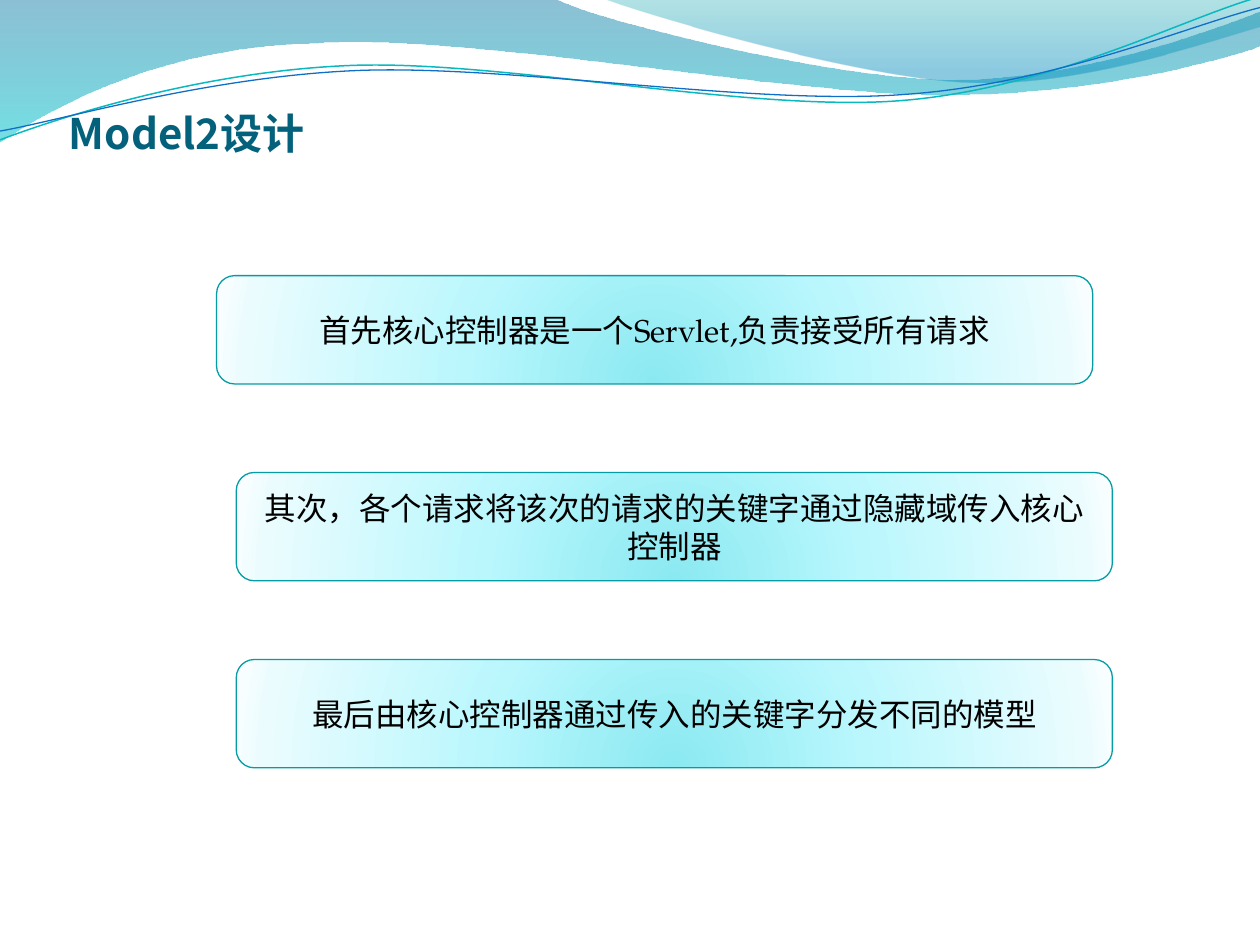
from math import cos, radians, sin

from lxml import etree
from pptx import Presentation
from pptx.dml.color import RGBColor
from pptx.enum.shapes import MSO_SHAPE
from pptx.enum.text import MSO_ANCHOR, MSO_AUTO_SIZE, PP_ALIGN
from pptx.oxml import parse_xml
from pptx.oxml.ns import qn
from pptx.util import Inches, Pt

ROUNDED = MSO_SHAPE.ROUNDED_RECTANGLE
LEFT, CENTER = PP_ALIGN.LEFT, PP_ALIGN.CENTER
MIDDLE, BOTTOM = MSO_ANCHOR.MIDDLE, MSO_ANCHOR.BOTTOM
SLIDE_WIDTH, SLIDE_HEIGHT = Inches(10), Inches(7.5)

TITLE_COLOR = RGBColor(0x04, 0x61, 0x7B)
BLACK = RGBColor(0, 0, 0)
BOX_LINE = RGBColor(0x06, 0x9C, 0xA3)
TEAL_LINE = RGBColor(0x0A, 0xB8, 0xBF)
BLUE_LINE = RGBColor(0x0F, 0x6F, 0xC6)

# Gradient stops: position in percent, colour, opacity in percent
LEFT_WAVE_STOPS = [(0, RGBColor(0x00, 0x74, 0xA1), 45), (100, RGBColor(0x00, 0xC6, 0xCF), 55)]
RIGHT_WAVE_STOPS = [(0, RGBColor(0x00, 0xA1, 0xA9), 30), (80, RGBColor(0x00, 0x8B, 0xBF), 45)]
BOX_STOPS = [
    (0, RGBColor(0x8B, 0xE9, 0xF1), 100),
    (43, RGBColor(0xB9, 0xF7, 0xFD), 100),
    (93, RGBColor(0xEA, 0xFC, 0xFE), 100),
    (100, RGBColor(0xF8, 0xFE, 0xFF), 100),
]
DOWNWARD = '<a:lin ang="5400000" scaled="0"/>'
FROM_BELOW = ('<a:path path="circle"><a:fillToRect l="50000" t="130000" '
              'r="50000" b="-30000"/></a:path>')

# Outlines in inches: a start point, then lines (2 numbers) or Bézier curves (6)
LEFT_WAVE = [
    (0, 0), (4.4, -0.01), (4.76, 0.17, 6.64, 0.63, 7.58, 0.63),
    (8.53, 0.63, 9.58, 0.26, 10, 0.09), (10.01, 0.36),
    (9.83, 0.44, 8.7, 0.76, 7.46, 0.75), (6.22, 0.75, 3.82, 0.28, 2.57, 0.34),
    (1.29, 0.36, 0.46, 0.83, -0.01, 1.13), (0, 0),
]
RIGHT_WAVE = [
    (4.79, -0.01), (5.09, 0.11, 6.82, 0.62, 7.69, 0.65),
    (8.56, 0.69, 9.61, 0.32, 10, 0.21), (10, 0), (4.79, -0.01),
]
TEAL_CURVE = [
    (0, 1.11), (0.48, 0.93, 1.58, 0.57, 2.77, 0.52),
    (3.95, 0.47, 5.93, 0.89, 7.13, 0.8), (8.33, 0.71, 9.38, 0.15, 9.98, -0.02),
]
BLUE_CURVE = [
    (0, 1.04), (0.47, 0.96, 1.64, 0.61, 2.83, 0.56),
    (4.03, 0.51, 5.97, 0.84, 7.17, 0.75), (8.36, 0.67, 9.41, 0.21, 10, 0.06),
]
CURVE_TILT = -2.7
CURVE_CENTER = (4.99, 0.58)

# Left, top, width and height in percent of the slide's size
TITLE_AREA = (5.47, 6.25, 90, 10.42)
BOX_SIZE = (69.53, 11.46)
BOXES = [
    (17.19, 29.17, "首先核心控制器是一个Servlet,负责接受所有请求"),
    (18.75, 50, "其次，各个请求将该次的请求的关键字通过隐藏域传入核心控制器"),
    (18.75, 69.79, "最后由核心控制器通过传入的关键字分发不同的模型"),
]


def to_slide(left, top, width, height):
    """Turn percentages of the slide's size into lengths."""
    return [int(share * full / 100) for share, full in zip(
        (left, top, width, height), (SLIDE_WIDTH, SLIDE_HEIGHT) * 2)]


def turn(point, angle):
    """Turn a point clockwise about the centre of the curves."""
    center_x, center_y = CURVE_CENTER
    x, y = point[0] - center_x, point[1] - center_y
    cosine, sine = cos(radians(angle)), sin(radians(angle))
    return center_x + x * cosine - y * sine, center_y + x * sine + y * cosine


def fill_gradient(shape, stops, direction):
    stop_xml = "".join(
        f'<a:gs pos="{position * 1000}"><a:srgbClr val="{color}">'
        f'<a:alpha val="{opacity * 1000}"/></a:srgbClr></a:gs>'
        for position, color, opacity in stops)
    gradient = parse_xml(
        '<a:gradFill xmlns:a="http://schemas.openxmlformats.org/drawingml/2006/main" '
        f'rotWithShape="1"><a:gsLst>{stop_xml}</a:gsLst>{direction}</a:gradFill>')
    shape.fill.background()
    properties = shape.element.spPr
    properties.replace(properties.find(qn("a:noFill")), gradient)


def set_line(shape, color, width):
    shape.line.color.rgb = color
    shape.line.width = Pt(width)


def add_outline(slide, outline, close=False, tilt=0):
    """Draw straight lines through all points, then bend them into curves."""
    points = [turn(segment[index:index + 2], -tilt)
              for segment in outline for index in range(0, len(segment), 2)]
    start, *others = [(Inches(x), Inches(y)) for x, y in points]
    builder = slide.shapes.build_freeform(*start, scale=1.0)
    builder.add_line_segments(others, close=close)
    shape = builder.convert_to_shape()
    shape.shadow.inherit = False
    shape.rotation = tilt

    lines = iter(list(shape.element.iter(qn("a:lnTo"))))
    for segment in outline[1:]:
        line = next(lines)
        if len(segment) == 6:
            line.tag = qn("a:cubicBezTo")
            for extra in (next(lines), next(lines)):
                line.append(extra[0])
                extra.getparent().remove(extra)
    return shape


def add_wave(slide, outline, stops):
    wave = add_outline(slide, outline, close=True)
    fill_gradient(wave, stops, DOWNWARD)
    wave.line.fill.background()


def add_curve(slide, outline, color, width):
    curve = add_outline(slide, outline, tilt=CURVE_TILT)
    curve.fill.background()
    set_line(curve, color, width)


def write_text(shape, text, *, size, font, color, bold=False, align=CENTER, anchor=MIDDLE):
    frame = shape.text_frame
    frame.word_wrap = True
    frame.auto_size = MSO_AUTO_SIZE.NONE
    frame.vertical_anchor = anchor
    paragraph = frame.paragraphs[0]
    paragraph.alignment = align
    run = paragraph.add_run()
    run.text = text
    run.font.size = Pt(size)
    run.font.bold = bold
    run.font.color.rgb = color
    run.font.name = font
    east_asian = etree.SubElement(run._r.get_or_add_rPr(), qn("a:ea"))
    east_asian.set("typeface", "Noto Sans CJK SC")


def place_title(slide, text):
    title = slide.shapes.title
    title.left, title.top, title.width, title.height = to_slide(*TITLE_AREA)
    frame = title.text_frame
    frame.margin_left = frame.margin_right = frame.margin_bottom = 0
    frame.margin_top = Inches(0.05)
    write_text(title, text, size=24, font="Noto Sans CJK SC", color=TITLE_COLOR,
               bold=True, align=LEFT, anchor=BOTTOM)
    title.element.getparent().append(title.element)  # in front of the waves


def add_box(slide, left, top, text):
    box = slide.shapes.add_shape(ROUNDED, *to_slide(left, top, *BOX_SIZE))
    box.shadow.inherit = False
    fill_gradient(box, BOX_STOPS, FROM_BELOW)
    set_line(box, BOX_LINE, 0.75)
    write_text(box, text, size=18, font="TeX Gyre Pagella", color=BLACK)


def main():
    presentation = Presentation()
    presentation.slide_width, presentation.slide_height = SLIDE_WIDTH, SLIDE_HEIGHT
    slide = presentation.slides.add_slide(presentation.slide_layouts[5])

    add_wave(slide, LEFT_WAVE, LEFT_WAVE_STOPS)
    add_wave(slide, RIGHT_WAVE, RIGHT_WAVE_STOPS)
    add_curve(slide, TEAL_CURVE, TEAL_LINE, 0.85)
    add_curve(slide, BLUE_CURVE, BLUE_LINE, 0.75)
    place_title(slide, "Model2设计")
    for left, top, text in BOXES:
        add_box(slide, left, top, text)

    presentation.save("out.pptx")


if __name__ == "__main__":
    main()
